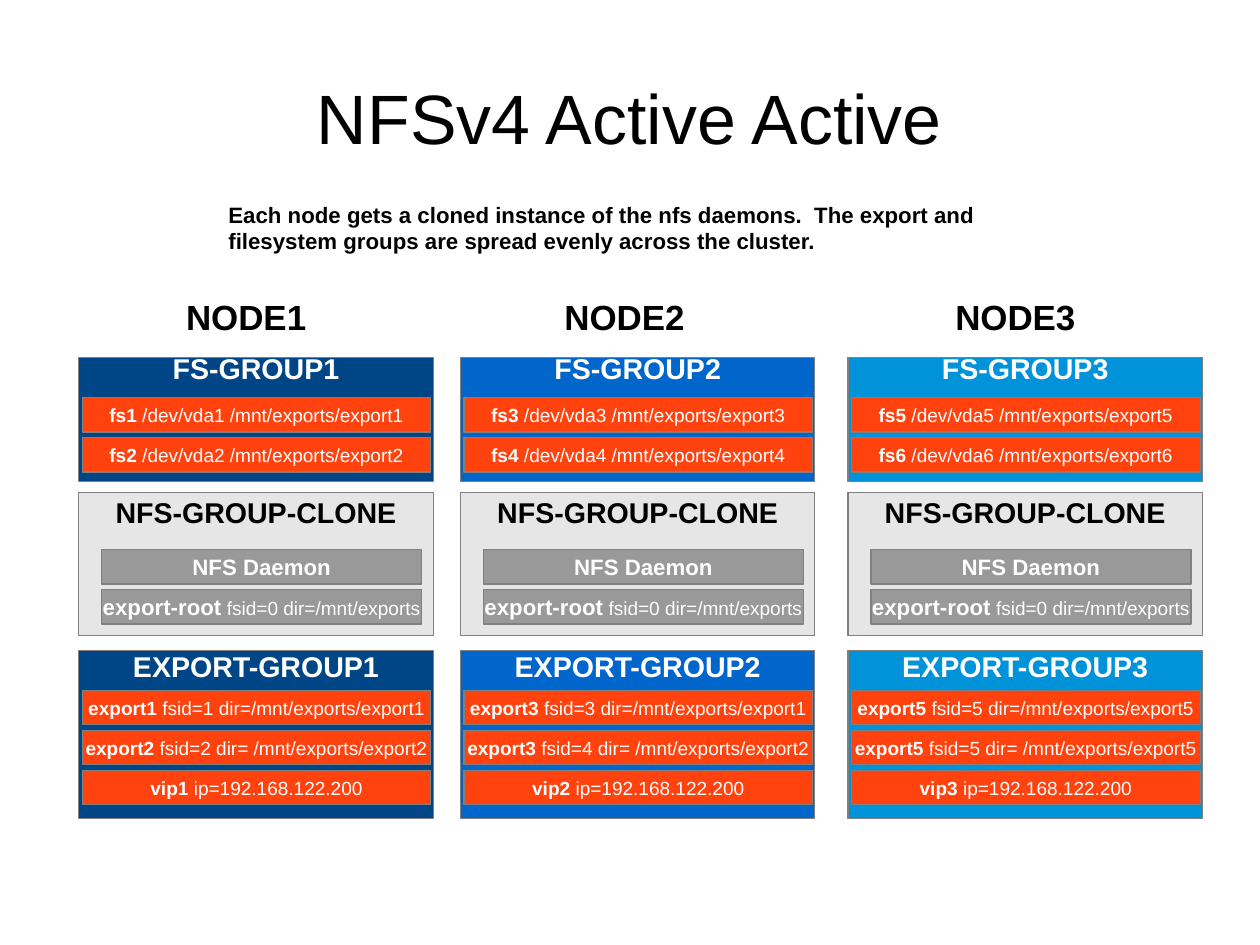
from dataclasses import dataclass

from pptx import Presentation
from pptx import util as u
from pptx.dml.color import RGBColor
from pptx.enum import shapes, text

# Colours and font
BLACK = RGBColor(0x00, 0x00, 0x00)
WHITE = RGBColor(0xFF, 0xFF, 0xFF)
OUTLINE = RGBColor(0x80, 0x80, 0x80)
CLONE_GREY = RGBColor(0xE6, 0xE6, 0xE6)
DAEMON_GREY = RGBColor(0x99, 0x99, 0x99)
RESOURCE_ORANGE = RGBColor(0xFF, 0x42, 0x0E)
NAVY = RGBColor(0x00, 0x45, 0x86)
BLUE = RGBColor(0x00, 0x66, 0xCC)
SKY = RGBColor(0x00, 0x93, 0xD9)
FONT = "Arial"

# Shared sizes in inches
GROUP_WIDTH = 3.1
ROW_HEIGHT = 0.3
ROW_PITCH = 0.35


@dataclass
class Resource:
    name: str
    detail: str = ""


@dataclass
class Node:
    label: str
    left: float
    label_left: float
    color: RGBColor
    filesystems: list[Resource]
    exports: list[Resource]


@dataclass
class GroupStyle:
    """Vertical layout of a group and the look of its resource rows."""
    top: float
    height: float
    title_inset: float
    first_row: float
    row_indent: float = 0.03
    row_width: float = 3.05
    row_fill: RGBColor = RESOURCE_ORANGE
    name_size: int = 12
    title_color: RGBColor = WHITE


FS_GROUP = GroupStyle(3.13, 1.08, -0.06, 3.48)
CLONE_GROUP = GroupStyle(4.31, 1.25, 0.02, 4.81, row_indent=0.2, row_width=2.8,
                         row_fill=DAEMON_GREY, name_size=14, title_color=BLACK)
EXPORT_GROUP = GroupStyle(5.69, 1.47, -0.01, 6.04)

DAEMONS = [Resource("NFS Daemon"),
           Resource("export-root", " fsid=0 dir=/mnt/exports")]

NODES = [
    Node("NODE1", 0.69, 1.53, NAVY,
         [Resource("fs1", " /dev/vda1 /mnt/exports/export1"),
          Resource("fs2", " /dev/vda2 /mnt/exports/export2")],
         [Resource("export1", " fsid=1 dir=/mnt/exports/export1"),
          Resource("export2", " fsid=2 dir= /mnt/exports/export2"),
          Resource("vip1", " ip=192.168.122.200")]),
    Node("NODE2", 4.03, 4.84, BLUE,
         [Resource("fs3", " /dev/vda3 /mnt/exports/export3"),
          Resource("fs4", " /dev/vda4 /mnt/exports/export4")],
         [Resource("export3", " fsid=3 dir=/mnt/exports/export1"),
          Resource("export3", " fsid=4 dir= /mnt/exports/export2"),
          Resource("vip2", " ip=192.168.122.200")]),
    Node("NODE3", 7.42, 8.26, SKY,
         [Resource("fs5", " /dev/vda5 /mnt/exports/export5"),
          Resource("fs6", " /dev/vda6 /mnt/exports/export6")],
         [Resource("export5", " fsid=5 dir=/mnt/exports/export5"),
          Resource("export5", " fsid=5 dir= /mnt/exports/export5"),
          Resource("vip3", " ip=192.168.122.200")]),
]


def write_text(paragraph, words: str, *, size: int, color: RGBColor = BLACK,
               bold: bool = True, align=text.PP_ALIGN.LEFT) -> None:
    paragraph.alignment = align
    run = paragraph.add_run()
    run.text = words
    run.font.name = FONT
    run.font.size = u.Pt(size)
    run.font.bold = bold
    run.font.color.rgb = color


def add_label(slide, words: str, left: float, top: float, width: float,
              height: float, size: int) -> None:
    box = slide.shapes.add_textbox(u.Inches(left), u.Inches(top),
                                   u.Inches(width), u.Inches(height))
    box.text_frame.word_wrap = True
    write_text(box.text_frame.paragraphs[0], words, size=size)


def add_box(slide, left: float, top: float, width: float, height: float,
            fill: RGBColor):
    shape = slide.shapes.add_shape(
        shapes.MSO_SHAPE.RECTANGLE, u.Inches(left), u.Inches(top),
        u.Inches(width), u.Inches(height))
    shape.shadow.inherit = False
    shape.fill.solid()
    shape.fill.fore_color.rgb = fill
    shape.line.color.rgb = OUTLINE
    shape.line.width = u.Inches(0)
    shape.text_frame.word_wrap = False
    shape.text_frame.vertical_anchor = text.MSO_ANCHOR.MIDDLE
    return shape


def add_group(slide, title: str, left: float, fill: RGBColor,
              style: GroupStyle, resources: list[Resource]) -> None:
    # Group box with its title at the top
    group = add_box(slide, left, style.top, GROUP_WIDTH, style.height, fill)
    frame = group.text_frame
    frame.vertical_anchor = text.MSO_ANCHOR.TOP
    frame.margin_top = u.Inches(style.title_inset)
    write_text(frame.paragraphs[0], title, size=18, color=style.title_color,
               align=text.PP_ALIGN.CENTER)

    # Resource rows
    for index, resource in enumerate(resources):
        row = add_box(slide, left + style.row_indent,
                      style.first_row + index * ROW_PITCH,
                      style.row_width, ROW_HEIGHT, style.row_fill)
        paragraph = row.text_frame.paragraphs[0]
        write_text(paragraph, resource.name, size=style.name_size, color=WHITE,
                   align=text.PP_ALIGN.CENTER)
        if resource.detail:
            write_text(paragraph, resource.detail, size=12, color=WHITE,
                       bold=False, align=text.PP_ALIGN.CENTER)


# Slide of 28 by 21 centimetres
presentation = Presentation()
presentation.slide_width = u.Inches(28 / 2.54)
presentation.slide_height = u.Inches(21 / 2.54)
slide = presentation.slides.add_slide(presentation.slide_layouts.get_by_name("Title Only"))

# Title and introduction
title = slide.shapes.title
title.left, title.top = u.Inches(0.55), u.Inches(0.33)
title.width, title.height = u.Inches(9.92), u.Inches(1.38)
title.text_frame.vertical_anchor = text.MSO_ANCHOR.MIDDLE
write_text(title.text_frame.paragraphs[0], "NFSv4 Active Active", size=44,
           bold=False, align=text.PP_ALIGN.CENTER)
add_label(slide, "Each node gets a cloned instance of the nfs daemons.  The export and "
          "filesystem groups are spread evenly across the cluster. ",
          1.9, 1.71, 7.2, 0.97, 14)

# One column per node
for number, node in enumerate(NODES, start=1):
    add_label(slide, node.label, node.label_left, 2.54, 1.3, 0.55, 22)
    add_group(slide, f"FS-GROUP{number}", node.left, node.color, FS_GROUP,
              node.filesystems)
    add_group(slide, "NFS-GROUP-CLONE", node.left, CLONE_GREY, CLONE_GROUP, DAEMONS)
    add_group(slide, f"EXPORT-GROUP{number}", node.left, node.color, EXPORT_GROUP,
              node.exports)

presentation.save("out.pptx")
